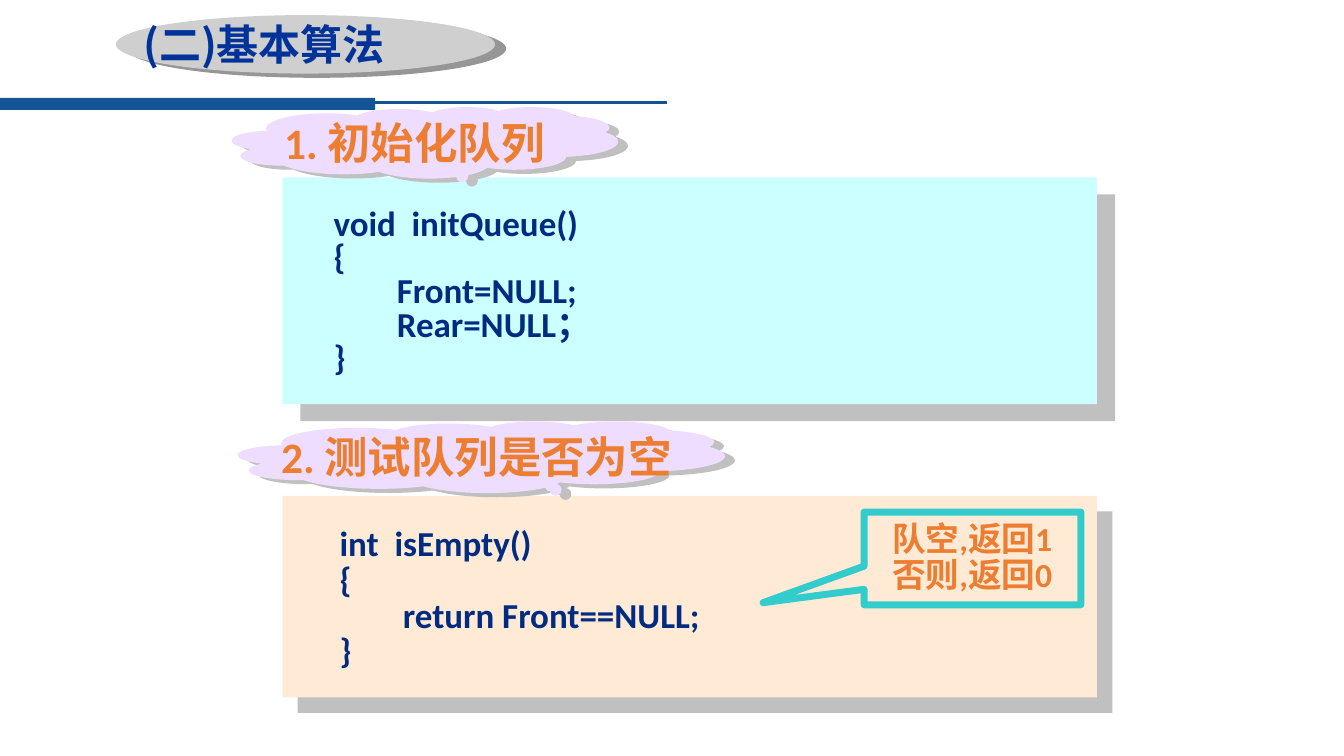
from pptx import Presentation
from pptx.dml.color import RGBColor
from pptx.enum.shapes import MSO_CONNECTOR, MSO_SHAPE
from pptx.enum.text import MSO_ANCHOR, MSO_AUTO_SIZE, PP_ALIGN
from pptx.oxml.ns import qn
from pptx.util import Inches, Pt
from lxml.etree import SubElement

COLORS = {
    "rule": "145396",
    "code": "002B80",
    "title": "003399",
    "accent": "ED7D31",
    "callout": "33CCCC",
    "cyan": "CCFFFF",
    "peach": "FFEAD5",
    "lilac": "EEDDFF",
    "grey": "CFCFCF",
    "shadow": "C0C0C0",
    "title_shadow": "969696",
}
LATIN_FONT = "Calibri"
CHINESE_FONT = "Noto Sans CJK SC"


def color(name):
    return RGBColor.from_string(COLORS[name])


def add_block(slide, kind, box, fill=None):
    shape = slide.shapes.add_shape(kind, *map(Inches, box))
    shape.shadow.inherit = False
    if fill:
        shape.fill.solid()
        shape.fill.fore_color.rgb = color(fill)
    else:
        shape.fill.background()
    shape.line.fill.background()
    return shape


def cast_shadow(shape, distance, angle, shade="shadow"):
    """Add a hard-edged shadow; distance in points, angle in degrees."""
    effects = shape.element.spPr.find(qn("a:effectLst"))
    shadow = SubElement(effects, qn("a:outerShdw"), blurRad="0",
                        dist=str(Pt(distance)), dir=str(angle * 60000),
                        algn="ctr", rotWithShape="0")
    SubElement(shadow, qn("a:srgbClr"), val=COLORS[shade])


def write_text(shape, text, size, shade, font=LATIN_FONT, spacing=1.0):
    frame = shape.text_frame
    frame.text = text
    frame.word_wrap = True
    frame.auto_size = MSO_AUTO_SIZE.SHAPE_TO_FIT_TEXT
    frame.vertical_anchor = MSO_ANCHOR.TOP
    for paragraph in frame.paragraphs:
        paragraph.alignment = PP_ALIGN.LEFT
        paragraph.line_spacing = spacing
        for run in paragraph.runs:
            run.font.size = Pt(size)
            run.font.bold = True
            run.font.name = font
            run.font.color.rgb = color(shade)
            latin = run.font.element.find(qn("a:latin")) if hasattr(run.font, "element") \
                else run._r.rPr.find(qn("a:latin"))
            east_asian = SubElement(run._r.rPr, qn("a:ea"), typeface=CHINESE_FONT)
            latin.addnext(east_asian)


def add_text(slide, box, *args, **options):
    write_text(slide.shapes.add_textbox(*map(Inches, box)), *args, **options)


def add_header_rule(slide, left, top):
    bar = add_block(slide, MSO_SHAPE.RECTANGLE, (left, top, 3.72, 0.12), "rule")
    line_y = Inches(top + 0.05)
    line = slide.shapes.add_connector(MSO_CONNECTOR.STRAIGHT, bar.left + Inches(3.68),
                                      line_y, Inches(left + 6.62), line_y)
    line.line.color.rgb = color("rule")
    line.line.width = Pt(2.25)
    SubElement(line.element.spPr, qn("a:effectLst"))


def add_title(slide, left, top, width, height, text):
    ellipse = add_block(slide, MSO_SHAPE.OVAL, (left, top, width, height), "grey")
    cast_shadow(ellipse, 8.5, 21, "title_shadow")
    title = slide.shapes.title
    title.left, title.top = Inches(left + 0.17), Inches(top - 0.02)
    title.width, title.height = Inches(width - 0.37), Inches(0.6)
    write_text(title, text, 30, "title", CHINESE_FONT)
    ellipse.element.addnext(title.element)


def add_code_panel(slide, box, fill, shadow, text_size, code, spacing):
    left, top, width, height = box
    panel = add_block(slide, MSO_SHAPE.RECTANGLE, box, fill)
    cast_shadow(panel, *shadow)
    inset, text_width, text_height = text_size
    add_text(slide, (left + inset, top + 0.27, text_width, text_height),
             code, 25, "code", spacing=spacing)


def add_cloud_heading(slide, left, top, width, tail, inset, text):
    cloud = add_block(slide, MSO_SHAPE.CLOUD_CALLOUT, (left, top, width, 0.71), "lilac")
    cloud.adjustments[0], cloud.adjustments[1] = tail, 0.402
    cast_shadow(cloud, 7.6, 23)
    add_text(slide, (left + inset, top + 0.04, width - inset, 0.62), text, 31, "accent")


def add_result_callout(slide, left, top, width, height, text):
    callout = add_block(slide, MSO_SHAPE.RECTANGULAR_CALLOUT, (left, top, width, height))
    callout.adjustments[0], callout.adjustments[1] = -0.966, 0.477
    callout.line.color.rgb = color("callout")
    callout.line.width = Pt(5)
    add_text(slide, (left + 0.18, top + 0.05, width + 0.27, 0.83),
             text, 24, "accent", spacing=0.9)


def build_queue_slide(presentation):
    slide = presentation.slides.add_slide(presentation.slide_layouts[5])
    add_header_rule(slide, 0, 0.97)
    add_code_panel(
        slide, (2.8, 1.76, 8.08, 2.25), "cyan", (17.7, 43), (0.41, 7.42, 1.77),
        "void  initQueue()\n{\n        Front=NULL;\n        Rear=NULL；\n}", 0.8)
    add_code_panel(
        slide, (2.8, 4.92, 8.08, 2), "peach", (15.6, 45), (0.47, 5.33, 1.52),
        "int  isEmpty()\n{\n        return Front==NULL;\n}", 0.85)
    add_result_callout(slide, 8.57, 5.08, 2.15, 0.92, "队空,返回1\n否则,返回0")
    add_title(slide, 1.15, 0.15, 3.76, 0.58, "(二)基本算法")
    add_cloud_heading(slide, 2.3, 1.06, 3.83, 0.082, 0.42, "1. 初始化队列")
    add_cloud_heading(slide, 2.36, 4.18, 4.83, 0.134, 0.33, "2. 测试队列是否为空")


def main():
    presentation = Presentation()
    presentation.slide_width = Inches(13.33)
    presentation.slide_height = Inches(7.5)
    build_queue_slide(presentation)
    presentation.save("out.pptx")


if __name__ == "__main__":
    main()
